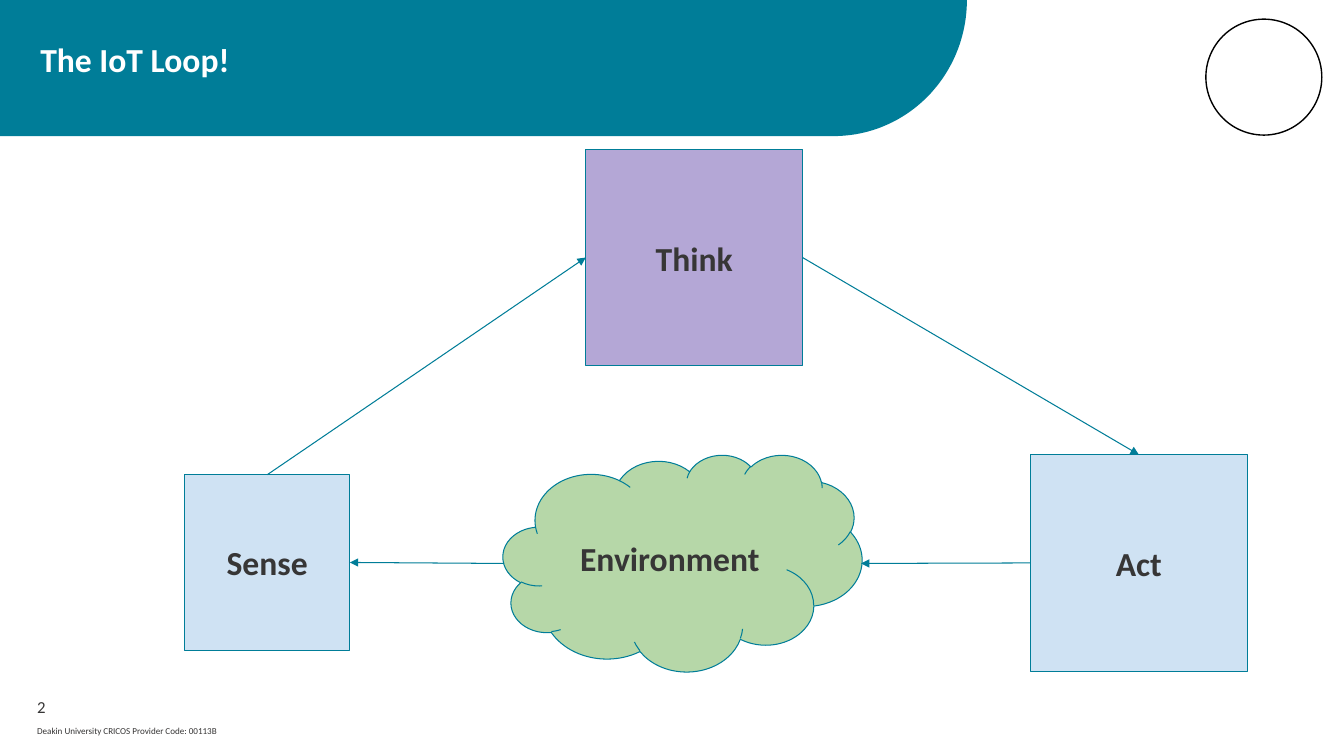
from dataclasses import dataclass, field
from math import cos, pi, sin

from lxml import etree
from pptx import Presentation
from pptx.dml.color import RGBColor
from pptx.enum.shapes import MSO_CONNECTOR, MSO_SHAPE
from pptx.enum.text import MSO_ANCHOR, PP_ALIGN
from pptx.oxml.ns import qn
from pptx.util import Inches, Pt

RECT, CLOUD, OVAL = MSO_SHAPE.RECTANGLE, MSO_SHAPE.CLOUD, MSO_SHAPE.OVAL
STRAIGHT = MSO_CONNECTOR.STRAIGHT
TOP, MIDDLE = MSO_ANCHOR.TOP, MSO_ANCHOR.MIDDLE
LEFT, CENTER = PP_ALIGN.LEFT, PP_ALIGN.CENTER
SIDE_TOP, SIDE_LEFT, SIDE_RIGHT = 0, 1, 3


@dataclass(frozen=True)
class Theme:
    font: str = "Calibri"
    teal: str = "007D98"
    white: str = "FFFFFF"
    black: str = "000000"
    ink: str = "373636"
    blue: str = "CFE2F3"
    purple: str = "B4A7D6"
    green: str = "B6D7A8"
    head: float = 24
    page: float = 12
    foot: float = 6.5
    line: float = 0.75
    ring: float = 1


THEME = Theme()


@dataclass(frozen=True)
class Style:
    size: float = THEME.head
    color: str = THEME.ink
    bold: bool = True
    align: int = CENTER
    anchor: int = MIDDLE
    pad: tuple = (0.13, 0.13)
    space: float = 1


@dataclass(frozen=True)
class Label:
    text: str
    box: tuple
    style: Style


@dataclass(frozen=True)
class Node:
    text: str
    box: tuple
    fill: str
    kind: int = RECT
    style: Style = field(default_factory=Style)


@dataclass(frozen=True)
class End:
    name: str = ""
    side: int = 0
    point: tuple = (0, 0)


SMALL = (0.1, 0.05)
LABELS = [
    Label("The IoT Loop!", (0.27, 0.3, 9.33, 1.05),
          Style(color=THEME.white, align=LEFT, anchor=TOP, space=0.9)),
    Label("2", (0.27, 6.88, 0.63, 0.27),
          Style(THEME.page, bold=False, align=LEFT, pad=SMALL)),
    Label("Deakin University CRICOS Provider Code: 00113B", (0.27, 7.15, 7.24, 0.22),
          Style(THEME.foot, bold=False, align=LEFT, anchor=TOP, pad=SMALL)),
]
NODES = [
    Node("Sense", (1.83, 4.71, 1.64, 1.74), THEME.blue),
    Node("Think", (5.81, 1.48, 2.15, 2.15), THEME.purple),
    Node("Act", (10.22, 4.51, 2.15, 2.15), THEME.blue),
    Node("Environment", (4.99, 4.51, 3.56, 2.15), THEME.green, CLOUD),
]
ARROWS = [
    (End("Sense", SIDE_TOP), End("Think", SIDE_LEFT)),
    (End("Think", SIDE_RIGHT), End("Act", SIDE_TOP)),
    (End(point=(5, 5.59)), End("Sense", SIDE_RIGHT)),
    (End("Act", SIDE_LEFT), End(point=(8.54, 5.59))),
]


def assign(target, values: dict) -> None:
    for key, value in values.items():
        setattr(target, key, value)


def place(box: tuple) -> list:
    return [Inches(n) for n in box]


def paint(part, color: str) -> None:
    part.solid()
    part.fore_color.rgb = RGBColor.from_string(color)


def stroke(line, color: str, width: float) -> None:
    paint(line.fill, color)
    line.width = Pt(width)


def write(shape, text: str, style: Style) -> None:
    side, edge = place(style.pad)
    frame = shape.text_frame
    assign(frame, {"word_wrap": True, "vertical_anchor": style.anchor,
                   "margin_left": side, "margin_right": side,
                   "margin_top": edge, "margin_bottom": edge})
    para = frame.paragraphs[0]
    assign(para, {"text": text, "alignment": style.align,
                  "line_spacing": style.space})
    font = para.runs[0].font
    assign(font, {"name": THEME.font, "size": Pt(style.size), "bold": style.bold})
    font.color.rgb = RGBColor.from_string(style.color)


def draw_banner(shapes) -> None:
    start, wide, high, steps = 8.27, 1.32, 1.35, 48
    turns = [pi / 2 * n / steps for n in range(steps + 1)]
    curve = [(start + wide * cos(t), high * sin(t)) for t in turns]
    form = shapes.build_freeform(0, 0)
    form.add_line_segments([place(p) for p in curve + [(0, high)]], close=True)
    banner = form.convert_to_shape()
    banner.shadow.inherit = False
    paint(banner.fill, THEME.teal)
    banner.line.fill.background()


def draw_ring(shapes) -> None:
    ring = shapes.add_shape(OVAL, *place((11.96, 0.19, 1.15, 1.15)))
    ring.shadow.inherit = False
    ring.fill.background()
    stroke(ring.line, THEME.black, THEME.ring)


def draw_label(shapes, label: Label) -> None:
    write(shapes.add_textbox(*place(label.box)), label.text, label.style)


def draw_node(shapes, node: Node):
    shape = shapes.add_shape(node.kind, *place(node.box))
    shape.shadow.inherit = False
    paint(shape.fill, node.fill)
    stroke(shape.line, THEME.teal, THEME.line)
    write(shape, node.text, node.style)
    return shape


def draw_arrow(shapes, nodes: dict, start: End, stop: End) -> None:
    arrow = shapes.add_connector(STRAIGHT, *place(start.point + stop.point))
    for end, join in ((start, arrow.begin_connect), (stop, arrow.end_connect)):
        if end.name:
            join(nodes[end.name], end.side)
    stroke(arrow.line, THEME.teal, THEME.line)
    props = arrow.element.spPr
    etree.SubElement(props.find(qn("a:ln")), qn("a:tailEnd"), type="triangle")
    etree.SubElement(props, qn("a:effectLst"))


def main() -> None:
    deck = Presentation()
    assign(deck, {"slide_width": Inches(13.33), "slide_height": Inches(7.5)})
    shapes = deck.slides.add_slide(deck.slide_layouts[6]).shapes
    draw_banner(shapes)
    draw_ring(shapes)
    for label in LABELS:
        draw_label(shapes, label)
    nodes = {node.text: draw_node(shapes, node) for node in NODES}
    for start, stop in ARROWS:
        draw_arrow(shapes, nodes, start, stop)
    deck.save("out.pptx")


if __name__ == "__main__":
    main()
